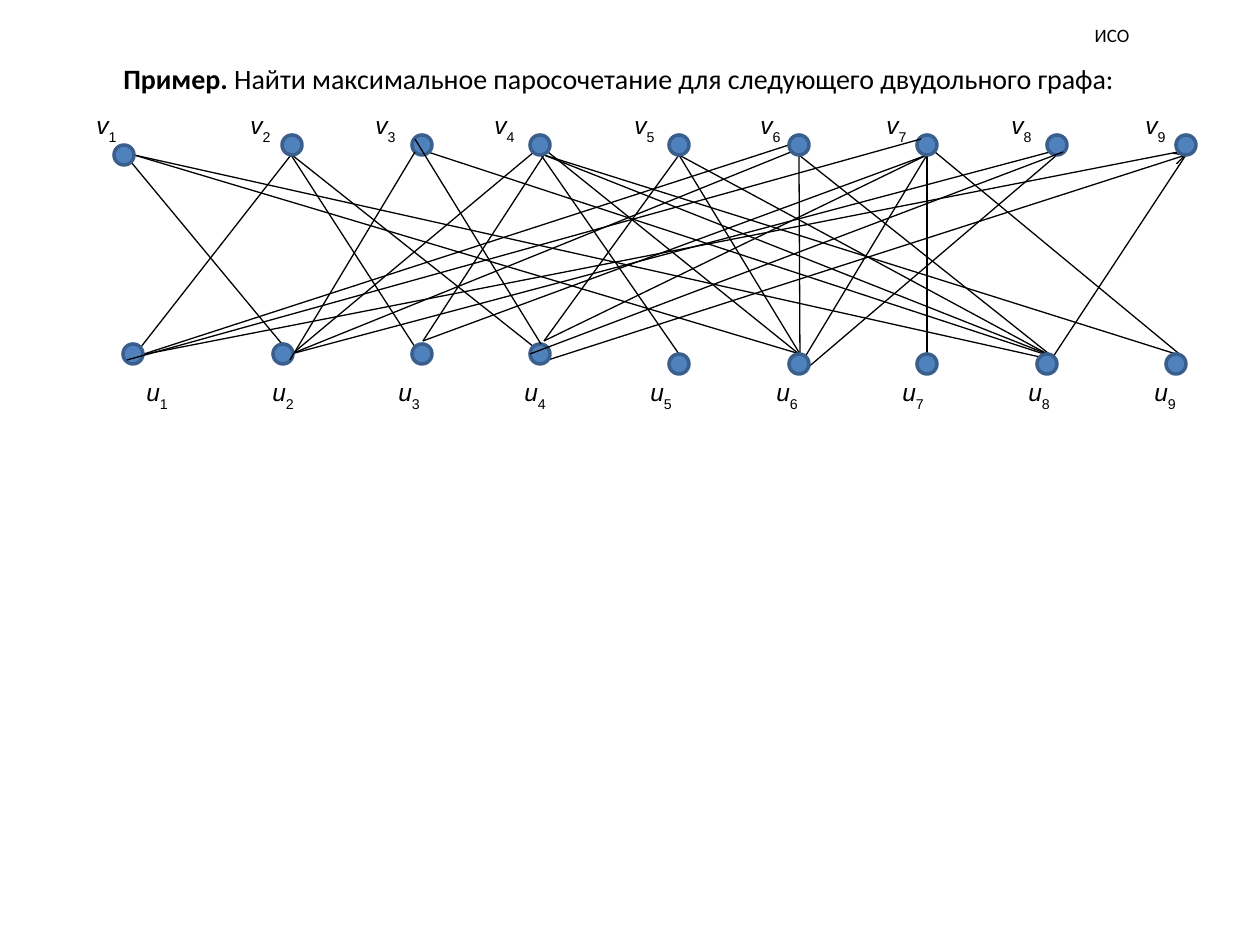
import pptx
import pptx.dml.color
import pptx.enum.shapes
import pptx.enum.text
import pptx.oxml.ns
import pptx.util
from dataclasses import dataclass
from lxml import etree

EMU_PER_PX = 914400 // 126


@dataclass(frozen=True)
class Theme:
    ink: str = "000000"
    node_fill: str = "4F81BD"
    node_line: str = "3A5F8C"
    text_font: str = "Calibri"
    label_font: str = "Arial"
    header_pt: float = 10.8
    task_pt: float = 16
    label_pt: float = 14
    edge_pt: float = 0.75
    node_line_pt: float = 2


THEME = Theme()
NODE_SIZE = 20

V_NODES = [(114, 145)] + [(x, 135) for x in (282, 412, 530, 669, 789, 917, 1047, 1176)]
U_NODES = [(x, 344) for x in (123, 273, 412, 530)] + [
    (x, 354) for x in (669, 789, 917, 1037, 1166)]

V_LABEL_STOPS = (154, 279, 398, 538, 664, 790, 915, 1049)
U_LABEL_STOPS = [126 * i for i in range(1, 9)]

# Each edge runs from its v end to its u end: x1, y1, x2, y2
EDGES_BEHIND_NODES = [
    (131, 162, 282, 344), (134, 155, 800, 354), (134, 155, 1040, 357),
    (291, 155, 141, 347), (291, 155, 415, 347), (292, 155, 534, 347),
    (428, 152, 1053, 357),
    (534, 152, 292, 354), (544, 155, 423, 341), (541, 155, 679, 354),
    (548, 152, 799, 354), (544, 155, 1047, 354), (544, 155, 1176, 354),
    (679, 155, 544, 341), (679, 155, 800, 354), (679, 155, 1053, 357),
    (789, 145, 144, 354), (791, 152, 291, 354), (799, 155, 800, 354),
    (799, 155, 1053, 357),
    (927, 155, 423, 341), (927, 155, 544, 341), (927, 155, 805, 357),
    (927, 155, 927, 354), (935, 152, 1183, 357),
    (1050, 152, 291, 354), (1057, 155, 805, 370),
    (1178, 152, 146, 354), (1186, 155, 1053, 357),
]
ARROW_EDGE = (548, 360, 1186, 155)
EDGES_OVER_NODES = [
    (415, 152, 290, 360), (415, 139, 541, 344),
    (1063, 152, 530, 354), (921, 139, 127, 360),
]


def px(n):
    return pptx.util.Emu(n * EMU_PER_PX)


def rgb(code):
    return pptx.dml.color.RGBColor.from_string(code)


def add_text_box(slide, x, y, w, h, anchor):
    tf = slide.shapes.add_textbox(px(x), px(y), px(w), px(h)).text_frame
    tf.word_wrap = True
    tf.vertical_anchor = anchor
    return tf


def add_run(p, text, font, size, bold=False, italic=False, baseline=None):
    r = p.add_run()
    r.text = text
    r.font.name = font
    r.font.size = pptx.util.Pt(size)
    r.font.bold = bold
    r.font.italic = italic
    r.font.color.rgb = rgb(THEME.ink)
    if baseline is not None:
        r.font._element.set("baseline", str(baseline))


def add_header(slide):
    tf = add_text_box(slide, 1027, 16, 170, 38, pptx.enum.text.MSO_ANCHOR.MIDDLE)
    p = tf.paragraphs[0]
    p.alignment = pptx.enum.text.PP_ALIGN.CENTER
    add_run(p, "ИСО", THEME.text_font, THEME.header_pt)


def add_task(slide):
    tf = add_text_box(slide, 63, 55, 1134, 60, pptx.enum.text.MSO_ANCHOR.TOP)
    p = tf.paragraphs[0]
    p._p.get_or_add_pPr().set("marL", str(px(48)))
    add_run(p, "Пример. ", THEME.text_font, THEME.task_pt, bold=True)
    add_run(p, "Найти максимальное паросочетание для следующего двудольного графа:",
            THEME.text_font, THEME.task_pt)


def add_label_row(slide, letter, x, y, stops):
    """Write letter1, letter2, ... on one line, each after the first at its tab stop."""
    tf = add_text_box(slide, x, y, 1111, 43, pptx.enum.text.MSO_ANCHOR.MIDDLE)
    p = tf.paragraphs[0]
    tabs = etree.SubElement(p._p.get_or_add_pPr(), pptx.oxml.ns.qn("a:tabLst"))
    for stop in stops:
        etree.SubElement(tabs, pptx.oxml.ns.qn("a:tab"), pos=str(px(stop)), algn="l")
    count = len(stops) + 1
    for i in range(1, count + 1):
        add_run(p, letter, THEME.label_font, THEME.label_pt, italic=True)
        add_run(p, f"{i}\t" if i < count else str(i),
                THEME.label_font, THEME.label_pt, baseline=-30000)


def add_node(slide, x, y):
    sp = slide.shapes.add_shape(pptx.enum.shapes.MSO_SHAPE.OVAL,
                                px(x), px(y), px(NODE_SIZE), px(NODE_SIZE))
    sp.shadow.inherit = False
    sp.fill.solid()
    sp.fill.fore_color.rgb = rgb(THEME.node_fill)
    sp.line.color.rgb = rgb(THEME.node_line)
    sp.line.width = pptx.util.Pt(THEME.node_line_pt)


def add_edge(slide, x1, y1, x2, y2, arrow=False):
    line = slide.shapes.add_connector(pptx.enum.shapes.MSO_CONNECTOR.STRAIGHT,
                                      px(x1), px(y1), px(x2), px(y2))
    line.line.color.rgb = rgb(THEME.ink)
    line.line.width = pptx.util.Pt(THEME.edge_pt)
    if arrow:
        etree.SubElement(line.line._get_or_add_ln(),
                         pptx.oxml.ns.qn("a:tailEnd"), type="arrow")
    etree.SubElement(line._element.spPr, pptx.oxml.ns.qn("a:effectLst"))


def main():
    prs = pptx.Presentation()
    prs.slide_width = pptx.util.Inches(10)
    prs.slide_height = pptx.util.Inches(7.5)
    slide = prs.slides.add_slide(prs.slide_layouts[6])

    add_header(slide)
    add_task(slide)
    for edge in EDGES_BEHIND_NODES:
        add_edge(slide, *edge)
    add_edge(slide, *ARROW_EDGE, arrow=True)
    add_label_row(slide, "v", 84, 106, V_LABEL_STOPS)
    add_label_row(slide, "u", 134, 373, U_LABEL_STOPS)
    for node in V_NODES + U_NODES:
        add_node(slide, *node)
    for edge in EDGES_OVER_NODES:
        add_edge(slide, *edge)

    prs.save("out.pptx")


if __name__ == "__main__":
    main()
